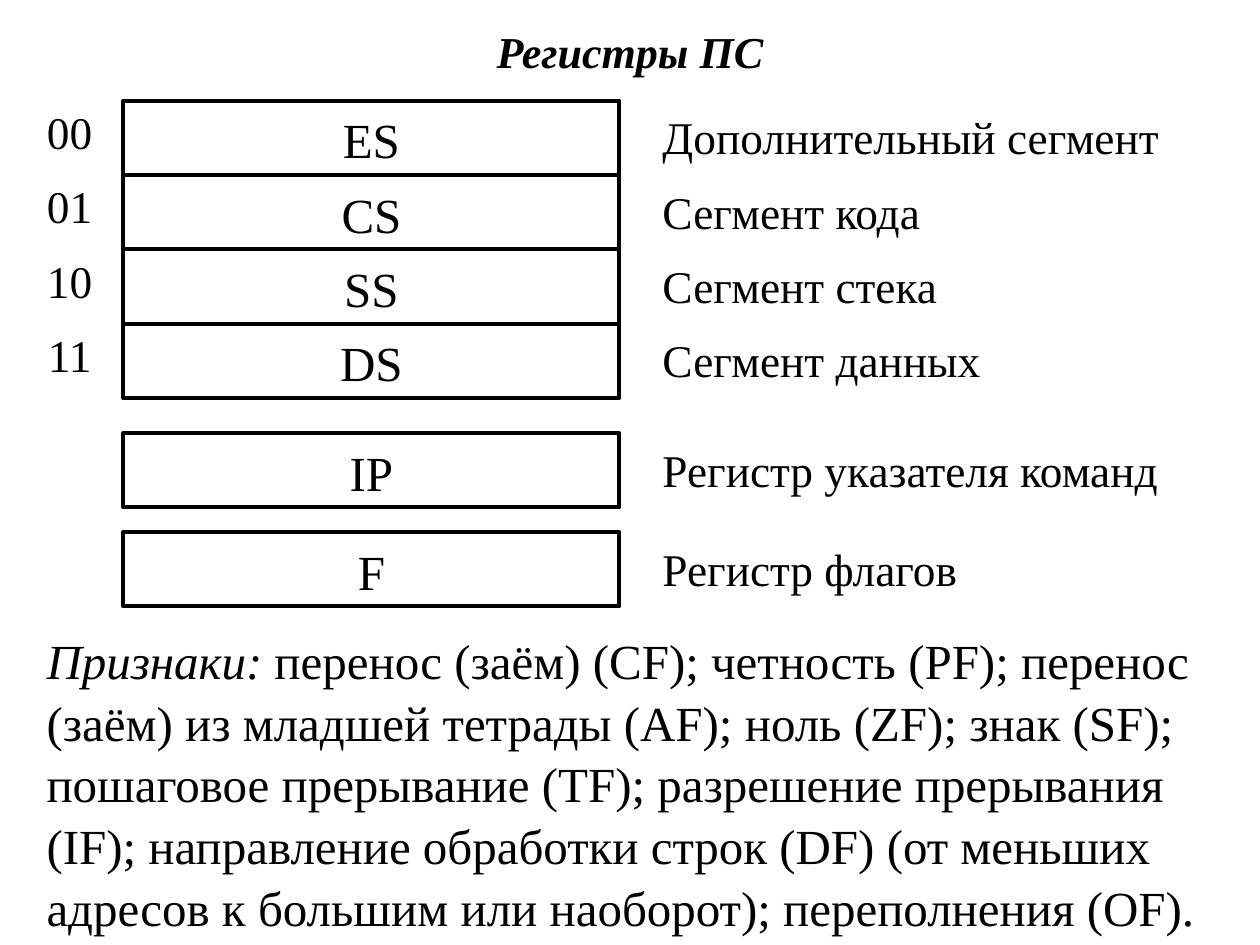
from pptx import Presentation
from pptx.dml.color import RGBColor
from pptx.enum.shapes import MSO_SHAPE
from pptx.enum.text import MSO_ANCHOR, PP_ALIGN
from pptx.util import Pt

RECTANGLE = MSO_SHAPE.RECTANGLE
TOP, MIDDLE = MSO_ANCHOR.TOP, MSO_ANCHOR.MIDDLE
LEFT, CENTER = PP_ALIGN.LEFT, PP_ALIGN.CENTER
FONT = "Times New Roman"
BLACK = "000000"
ROW_HEIGHT = 42.5
LABEL_SIZE = 25.9
SEGMENT_REGISTERS = [
    ("00", "ES", "Дополнительный сегмент"),
    ("01", "CS", "Сегмент кода"),
    ("10", "SS", "Сегмент стека"),
    ("11", "DS", "Сегмент данных"),
]
FLAGS = (
    " перенос (заём) (CF); четность (PF); перенос (заём) из младшей тетрады (AF); "
    "ноль (ZF); знак (SF); пошаговое прерывание (TF); разрешение прерывания (IF); "
    "направление обработки строк (DF) (от меньших адресов к большим или наоборот); "
    "переполнения (OF)."
)


def color(value):
    """Turn a hex string into a colour."""
    return RGBColor.from_string(value)


def add_run(paragraph, text, size=28, bold=False, italic=False):
    """Add formatted text to a paragraph."""
    run = paragraph.add_run()
    run.text = text
    run.font.name = FONT
    run.font.size = Pt(size)
    run.font.bold = bold
    run.font.italic = italic
    run.font.color.rgb = color(BLACK)


def write(shape, text, align=LEFT, anchor=TOP, spacing=1.05, **font):
    """Write one paragraph into a shape and return the paragraph."""
    frame = shape.text_frame
    frame.word_wrap = True
    frame.vertical_anchor = anchor
    paragraph = frame.paragraphs[0]
    paragraph.alignment = align
    paragraph.line_spacing = spacing
    add_run(paragraph, text, **font)
    return paragraph


def add_label(slide, text, left, top, width, height=39, **options):
    """Add a text box with one paragraph and return the paragraph."""
    box = slide.shapes.add_textbox(Pt(left), Pt(top), Pt(width), Pt(height))
    return write(box, text, **options)


def add_title(slide, text, left, top, width, height):
    """Place the slide title in its placeholder."""
    title = slide.shapes.title
    title.left, title.top = Pt(left), Pt(top)
    title.width, title.height = Pt(width), Pt(height)
    write(title, text, align=CENTER, anchor=MIDDLE, spacing=1.0,
          size=25.2, bold=True, italic=True)


def add_register(slide, name, description, top, code=None):
    """Draw one register row with its optional code and its description."""
    box = slide.shapes.add_shape(RECTANGLE, Pt(70.5), Pt(top), Pt(283.5), Pt(ROW_HEIGHT))
    box.shadow.inherit = False
    box.fill.background()
    box.line.color.rgb = color(BLACK)
    box.line.width = Pt(2.25)
    write(box, name, align=CENTER)
    if code:
        add_label(slide, code, 8.5, top - 3, 62.5, align=CENTER, size=LABEL_SIZE)
    add_label(slide, description, 371.5, top, 329, size=LABEL_SIZE)


def add_segment_registers(slide, top):
    """Stack the segment registers downwards from the given top."""
    for index, (code, name, description) in enumerate(SEGMENT_REGISTERS):
        add_register(slide, name, description, top + index * ROW_HEIGHT, code)


def add_flags(slide, left, top, width, height):
    """Place the paragraph that lists the flags."""
    paragraph = add_label(slide, "Признаки:", left, top, width, height, italic=True)
    add_run(paragraph, FLAGS)


def main():
    """Build and save the slide."""
    presentation = Presentation()
    presentation.slide_width, presentation.slide_height = Pt(720), Pt(540)
    slide = presentation.slides.add_slide(presentation.slide_layouts[5])
    add_title(slide, "Регистры ПС", 54, 9.5, 612, 39.5)
    add_segment_registers(slide, 57.5)
    add_register(slide, "IP", "Регистр указателя команд", 247.5)
    add_register(slide, "F", "Регистр флагов", 304)
    add_flags(slide, 19.5, 355, 686, 175.5)
    presentation.save("out.pptx")


if __name__ == "__main__":
    main()
